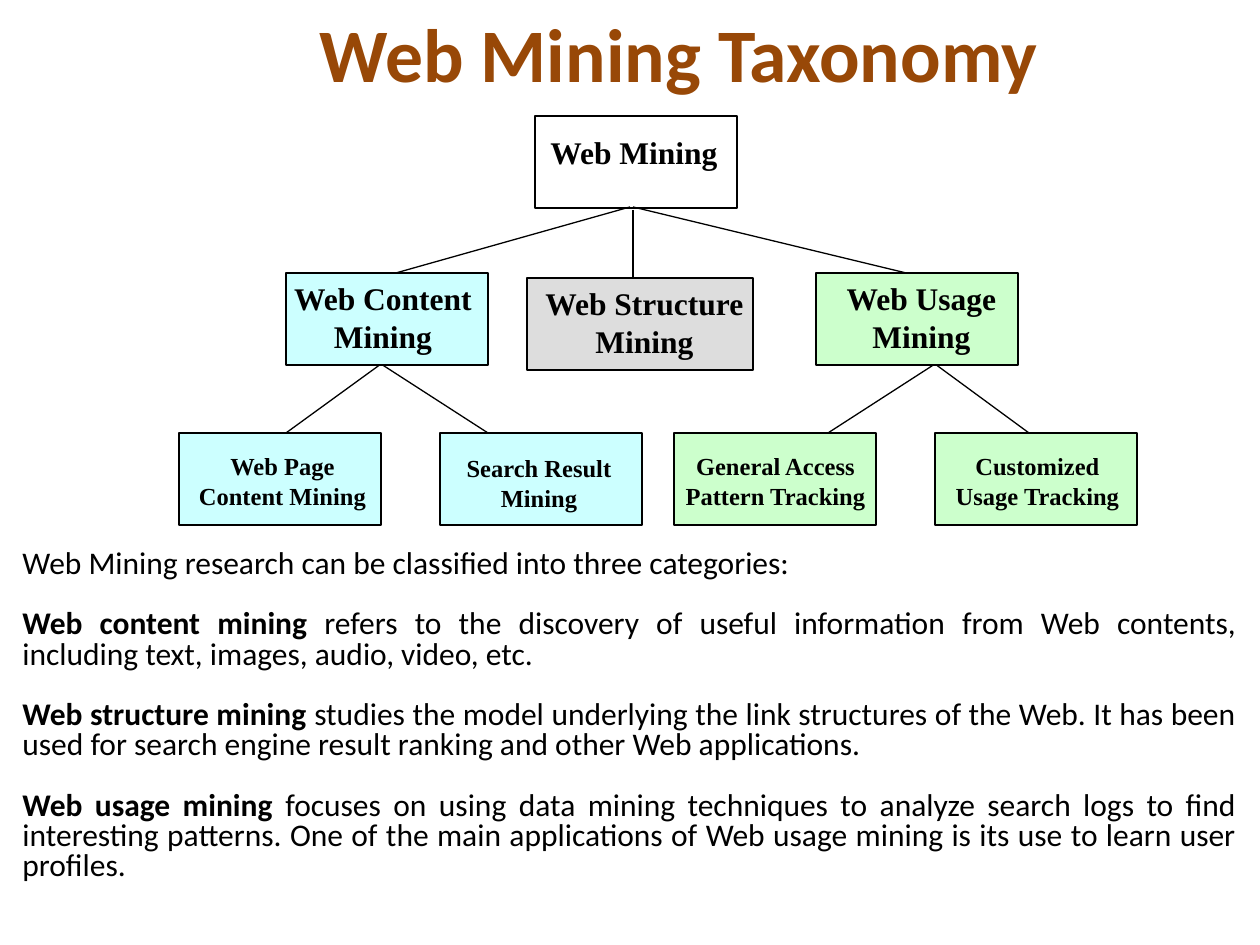
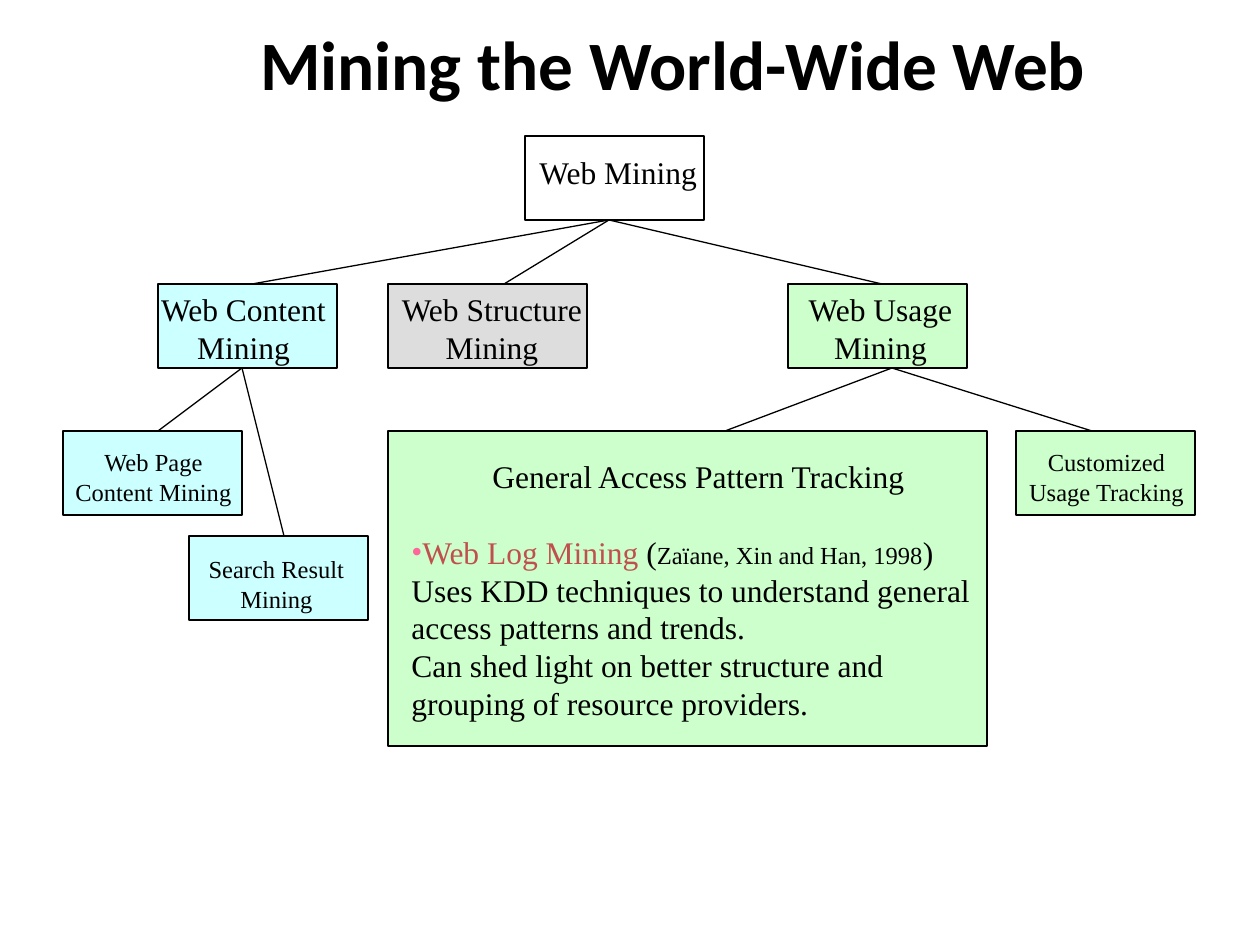
from lxml import etree
from pptx import Presentation
from pptx.dml.color import RGBColor
from pptx.enum.shapes import MSO_CONNECTOR, MSO_SHAPE
from pptx.enum.text import MSO_ANCHOR, MSO_AUTO_SIZE, PP_ALIGN
from pptx.oxml.ns import qn
from pptx.util import Emu, Pt

RECT = MSO_SHAPE.RECTANGLE
LINE = MSO_CONNECTOR.STRAIGHT
MID = MSO_ANCHOR.MIDDLE
GROW, FIXED = MSO_AUTO_SIZE.SHAPE_TO_FIT_TEXT, MSO_AUTO_SIZE.NONE
LEFT, CENTER, FULL = PP_ALIGN.LEFT, PP_ALIGN.CENTER, PP_ALIGN.JUSTIFY

BLACK = RGBColor(0x00, 0x00, 0x00)
BROWN = RGBColor(0x98, 0x48, 0x07)
GRAY = RGBColor(0xDD, 0xDD, 0xDD)
CYAN = RGBColor(0xCC, 0xFF, 0xFF)
GREEN = RGBColor(0xCC, 0xFF, 0xCC)
RED = RGBColor(0xC0, 0x50, 0x4D)
PINK = RGBColor(0xFF, 0x66, 0x99)

SANS, SERIF = "Calibri", "Times New Roman"
BIG, SMALL = 18, 14
SCALE = 914400 / 126

ROOT = ["Web Mining"]
STRUCT = ["Web Structure", "Mining"]
CONTENT = ["Web Content", "Mining"]
USAGE = ["Web Usage", "Mining"]
PAGE = ["Web Page", "Content Mining"]
SEARCH = ["Search Result", "Mining"]
ACCESS = ["General Access", "Pattern Tracking"]
CUSTOM = ["Customized", "Usage Tracking"]

INTRO = [
    ("", "Web Mining research can be classified into three categories:"),
    ("Web content mining", " refers to the discovery of useful information from "
     "Web contents, including text, images, audio, video, etc."),
    ("Web structure mining ", "studies the model underlying the link structures of "
     "the Web. It has been used for search engine result ranking and other Web "
     "applications."),
    ("Web usage mining ", "focuses on using data mining techniques to analyze search "
     "logs to find interesting patterns. One of the main applications of Web usage "
     "mining is its use to learn user profiles."),
]
NOTES = [
    "Uses KDD techniques to understand general access patterns and trends.",
    "Can shed light on better structure and grouping of resource providers.",
]


def px(*vals):
    """Turn px lengths into EMU."""
    return [Emu(round(v * SCALE)) for v in vals]


def add_run(para, text, size, font=SERIF, color=BLACK, bold=False):
    """Add one styled run to a paragraph."""
    run = para.add_run()
    run.text = text
    run.font.size = Pt(size)
    run.font.name = font
    run.font.color.rgb = color
    run.font.bold = bold


def add_para(frame, align=LEFT):
    """Return the next free paragraph of a text frame."""
    first = frame.paragraphs[0]
    para = frame.add_paragraph() if first.runs else first
    para.alignment = align
    return para


def add_text(slide, box, wrap=True):
    """Add a text box and return its frame."""
    frame = slide.shapes.add_textbox(*px(*box)).text_frame
    frame.word_wrap = wrap
    frame.auto_size = GROW
    return frame


def add_title(slide, box, text, size, color=BLACK):
    """Add the bold centred slide title."""
    frame = add_text(slide, box)
    frame.auto_size = FIXED
    frame.vertical_anchor = MID
    add_run(add_para(frame, CENTER), text, size, SANS, color, True)


def add_rect(slide, box, fill=None):
    """Add a thinly outlined rectangle."""
    rect = slide.shapes.add_shape(RECT, *px(*box))
    rect.shadow.inherit = False
    rect.line.color.rgb = BLACK
    rect.line.width = Pt(0.75)
    if fill is None:
        rect.fill.background()
    else:
        rect.fill.solid()
        rect.fill.fore_color.rgb = fill


def add_node(slide, box, fill, lines, size, label, bold):
    """Add a tree node whose label is offset from its box."""
    add_rect(slide, box, fill)
    left, top = box[:2]
    dx, dy, width = label
    height = round(13 + 2.1 * size * len(lines))
    frame = add_text(slide, (left + dx, top + dy, width, height), False)
    for text in lines:
        align = CENTER if len(lines) > 1 else LEFT
        add_run(add_para(frame, align), text, size, bold=bold)


def add_links(slide, start, ends):
    """Draw lines from one point to several."""
    for end in ends:
        link = slide.shapes.add_connector(LINE, *px(*start, *end))
        link.line.color.rgb = BLACK
        link.line.width = Pt(0.75)
        etree.SubElement(link._element.spPr, qn("a:effectLst"))


def add_tree(slide, links, nodes, size, bold):
    """Draw the links, then the nodes over them."""
    for start, ends in links:
        add_links(slide, start, ends)
    wide, high = size
    for left, top, extra, fill, lines, points, label in nodes:
        box = (left, top, wide + extra, high)
        add_node(slide, box, fill, lines, points, label, bold)


def add_intro(slide, box):
    """Add the justified paragraphs under the tree."""
    frame = add_text(slide, box)
    for i, (term, text) in enumerate(INTRO):
        para = add_para(frame, FULL)
        para.line_spacing = 0.8
        if i:
            para.space_before = Pt(17.3)
        if term:
            add_run(para, term, BIG, SANS, bold=True)
        add_run(para, text, BIG, SANS)


def add_bullet(para):
    """Give a paragraph a pink bullet."""
    props = para._p.get_or_add_pPr()
    color = etree.SubElement(props, qn("a:buClr"))
    etree.SubElement(color, qn("a:srgbClr"), val=str(PINK))
    etree.SubElement(props, qn("a:buFont"), typeface=SERIF)
    etree.SubElement(props, qn("a:buChar"), char="•")


def add_panel(slide, box):
    """Add the large panel on access patterns."""
    add_rect(slide, box, GREEN)
    left, top, width, height = box
    frame = add_text(slide, (left + 11, top + 20, width, height - 8))
    head = add_para(frame, CENTER)
    add_run(head, "General Access Pattern Tracking", BIG)
    item = add_para(frame)
    item.space_before = Pt(21.6)
    add_bullet(item)
    add_run(item, "Web Log Mining", BIG, color=RED)
    add_run(item, " (", BIG)
    add_run(item, "Zaïane, Xin and Han, 1998", SMALL)
    add_run(item, ")", BIG)
    for text in NOTES:
        add_run(add_para(frame), text, BIG)


def make_first(slide):
    """Build the taxonomy slide."""
    links = [
        ((633, 210), [(633, 278)]),
        ((630, 207), [(378, 278)]),
        ((633, 207), [(927, 278)]),
        ((381, 364), [(488, 433), (286, 433)]),
        ((935, 364), [(828, 433), (1029, 433)]),
    ]
    nodes = [
        (535, 116, 0, None, ROOT, BIG, (3, 11, 219)),
        (527, 278, 24, GRAY, STRUCT, BIG, (-10, 0, 255)),
        (286, 273, 0, CYAN, CONTENT, BIG, (-19, 0, 232)),
        (816, 273, 0, GREEN, USAGE, BIG, (6, 0, 199)),
        (179, 433, 0, CYAN, PAGE, SMALL, (-6, 12, 219)),
        (440, 433, 0, CYAN, SEARCH, SMALL, (2, 14, 194)),
        (674, 433, 0, GREEN, ACCESS, SMALL, (-15, 12, 233)),
        (935, 433, 0, GREEN, CUSTOM, SMALL, (-5, 12, 215)),
    ]
    add_tree(slide, links, nodes, (202, 92), True)
    add_title(slide, (189, 10, 979, 84), "Web Mining Taxonomy", 43.2, BROWN)
    add_intro(slide, (10, 544, 1239, 349))


def make_second(slide):
    """Build the slide on access pattern tracking."""
    links = [
        ((609, 220), [(504, 284), (252, 284), (882, 284)]),
        ((242, 368), [(284, 536), (158, 431)]),
        ((892, 368), [(725, 431), (1092, 431)]),
    ]
    nodes = [
        (525, 136, 0, None, ROOT, BIG, (2, 11, 189)),
        (388, 284, 20, GRAY, STRUCT, BIG, (-2, 0, 212)),
        (158, 284, 0, CYAN, CONTENT, BIG, (-11, 0, 193)),
        (788, 284, 0, GREEN, USAGE, BIG, (5, 0, 175)),
        (63, 431, 0, CYAN, PAGE, SMALL, (-4, 10, 189)),
        (189, 536, 0, CYAN, SEARCH, SMALL, (5, 12, 165)),
        (1016, 431, 0, GREEN, CUSTOM, SMALL, (-4, 10, 189)),
    ]
    add_tree(slide, links, nodes, (179, 84), False)
    add_panel(slide, (388, 431, 599, 315))
    add_title(slide, (136, 21, 1074, 84), "Mining the World-Wide Web", 39.6)


def main():
    """Build and save the deck."""
    deck = Presentation()
    deck.slide_width, deck.slide_height = px(1260, 945)
    for make in (make_first, make_second):
        make(deck.slides.add_slide(deck.slide_layouts[6]))
    deck.save("out.pptx")


if __name__ == "__main__":
    main()
